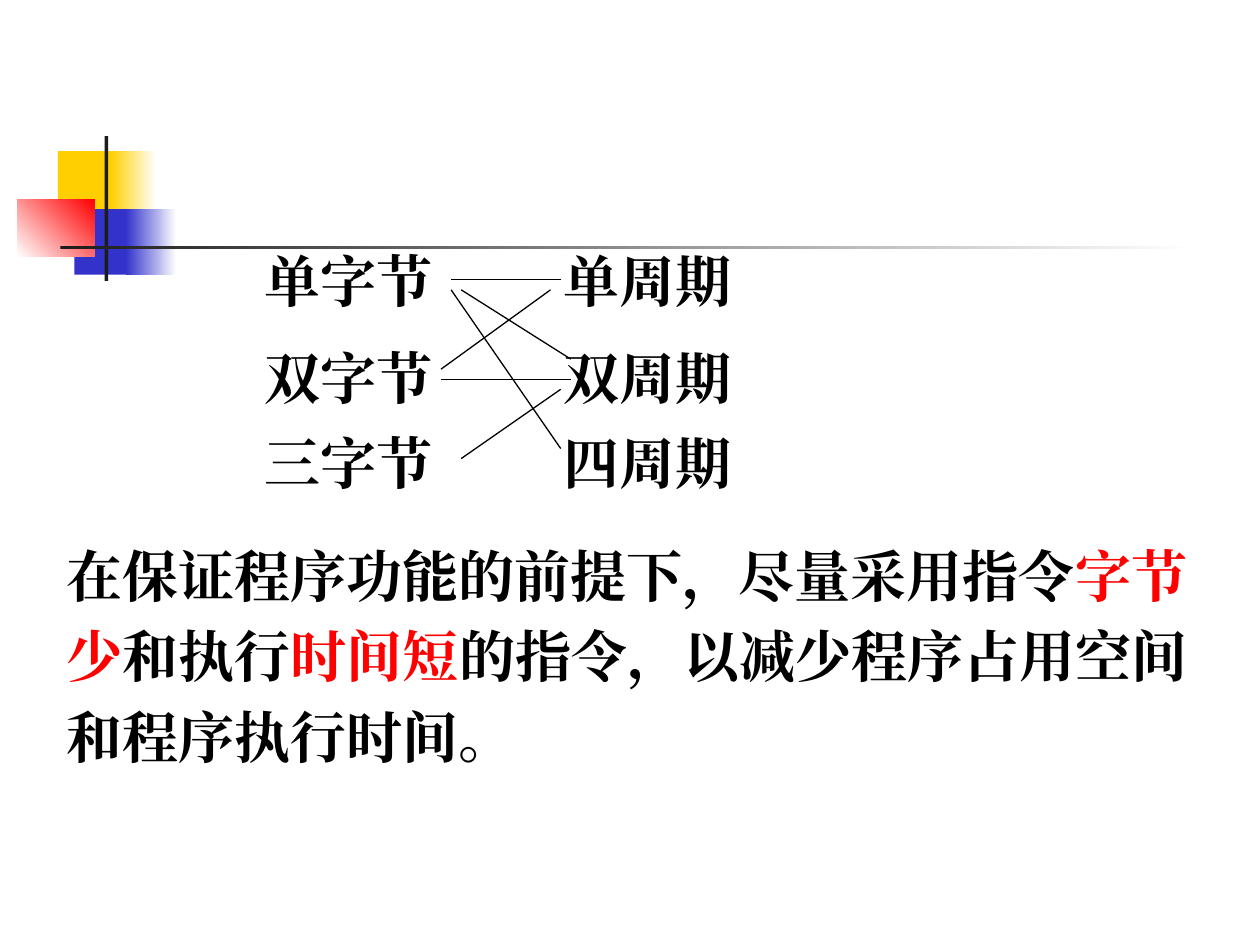
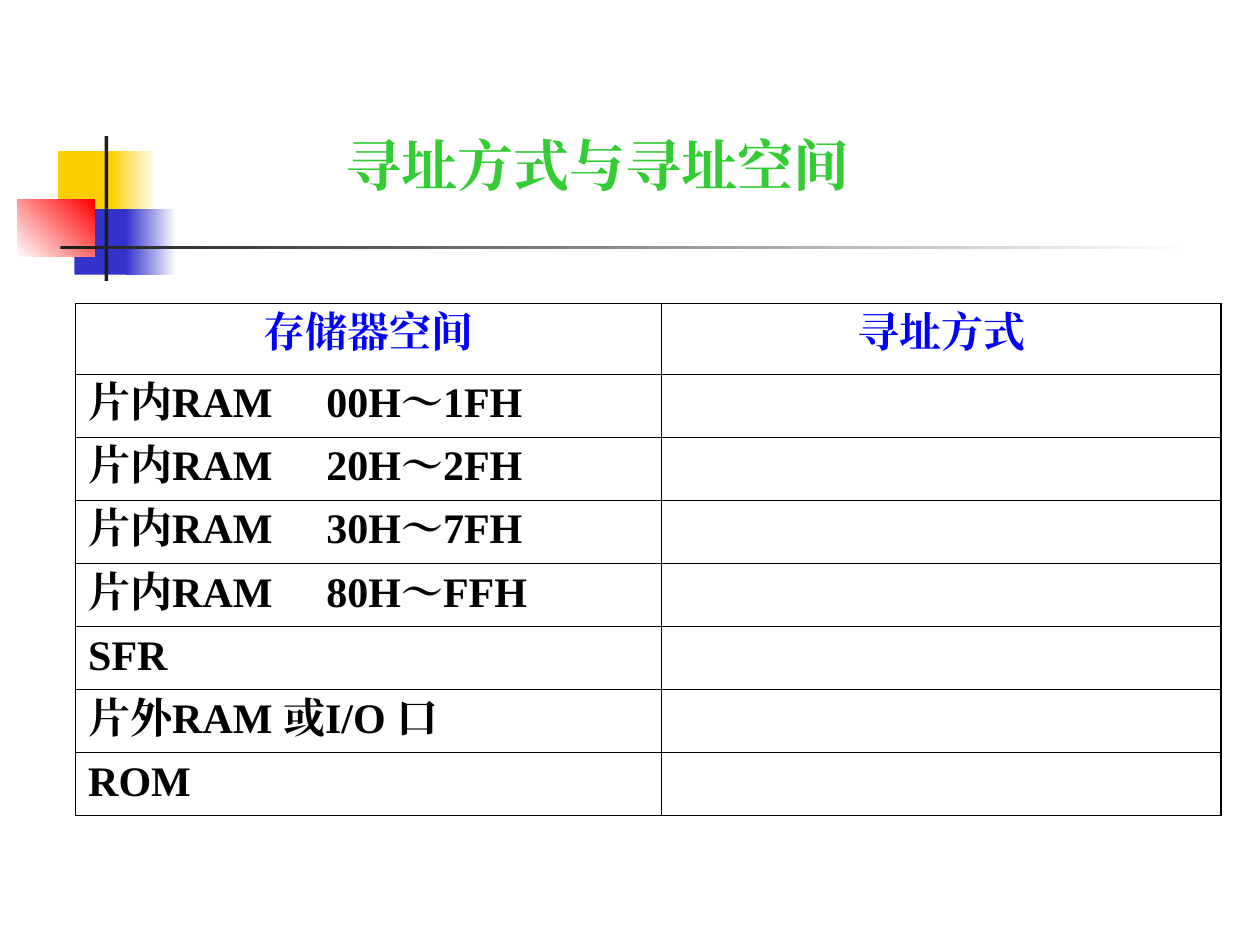
from typing import NamedTuple

from lxml.etree import SubElement
from pptx import Presentation
from pptx.dml.color import RGBColor
from pptx.enum.shapes import MSO_CONNECTOR, MSO_SHAPE
from pptx.enum.text import MSO_AUTO_SIZE, PP_ALIGN
from pptx.oxml.ns import qn
from pptx.util import Inches, Pt

FONT = "Times New Roman"
BLACK, WHITE, RED, GREEN, BLUE = "000000", "FFFFFF", "FF0000", "33CC33", "0000FF"
YELLOW, INDIGO, CHARCOAL = "FFCF01", "3333CC", "1C1C1C"
OUTER_BORDER, INNER_BORDER = 1.08, 0.45


class Block(NamedTuple):
    left: float
    top: float
    width: float
    height: float
    start: str
    end: str = ""  # empty for a solid fill
    angle: float = 0


class Span(NamedTuple):
    text: str
    color: str = BLACK


class Label(NamedTuple):
    left: float
    top: float
    width: float
    height: float
    spans: list[Span]
    line_spacing: float = 1.0


class Link(NamedTuple):
    x1: float
    y1: float
    x2: float
    y2: float


# Decoration shared by both slides
MOTIF = [
    Block(0.46, 1.2, 0.48, 0.52, YELLOW),
    Block(0.88, 1.2, 0.36, 0.52, YELLOW, WHITE),
    Block(0.59, 1.66, 0.46, 0.52, INDIGO),
    Block(1, 1.66, 0.4, 0.52, INDIGO, WHITE),
    Block(0.14, 1.58, 0.61, 0.46, WHITE, RED, 45),
    Block(0.83, 1.08, 0.03, 1.15, CHARCOAL),
    Block(0.48, 1.95, 9, 0.03, CHARCOAL, WHITE),
]

# Instruction lengths and cycle counts
ROW_TOPS = [1.91, 2.68, 3.35]
BYTE_COUNTS = ["单字节", "双字节", "三字节"]
CYCLE_COUNTS = ["单周期", "双周期", "四周期"]
LINKS = [
    Link(3.58, 2.22, 4.45, 2.22),
    Link(3.66, 2.3, 4.53, 2.85),
    Link(3.58, 2.3, 4.45, 3.56),
    Link(3.5, 2.93, 4.37, 2.3),
    Link(3.5, 3.01, 4.53, 3.01),
    Link(3.66, 3.64, 4.45, 3.09),
]
ADVICE = [
    Span("在保证程序功能的前提下，尽量采用指令"),
    Span("字节少", RED),
    Span("和执行"),
    Span("时间短", RED),
    Span("的指令，以减少程序占用空间和程序执行时间。"),
]

# Memory spaces and addressing modes
HEADINGS = ["存储器空间", "寻址方式"]
MEMORY_SPACES = [
    "片内RAM\t00H～1FH",
    "片内RAM\t20H～2FH",
    "片内RAM\t30H～7FH",
    "片内RAM\t80H～FFH",
    "SFR",
    "片外RAM 或I/O 口",
    "ROM",
]
COLUMN_WIDTHS = [4.65, 4.44]
HEADING_HEIGHT, SPACE_HEIGHT = 0.56, 0.5
ADDRESS_TAB = 1.89


def rgb(color: str) -> RGBColor:
    return RGBColor.from_string(color)


def style_run(run, size: float, color: str) -> None:
    run.font.name = FONT
    run.font.size = Pt(size)
    run.font.bold = True
    run.font.color.rgb = rgb(color)
    SubElement(run.font._element, qn("a:ea"), typeface=FONT)


def draw_block(page, block: Block) -> None:
    shape = page.shapes.add_shape(
        MSO_SHAPE.RECTANGLE, Inches(block.left), Inches(block.top),
        Inches(block.width), Inches(block.height))
    shape.shadow.inherit = False
    shape.line.fill.background()
    if not block.end:
        shape.fill.solid()
        shape.fill.fore_color.rgb = rgb(block.start)
        return
    shape.fill.gradient()
    shape.fill.gradient_angle = block.angle
    for stop, color, position in zip(
            shape.fill.gradient_stops, (block.start, block.end), (0, 1)):
        stop.color.rgb = rgb(color)
        stop.position = position


def draw_label(page, label: Label) -> None:
    box = page.shapes.add_textbox(
        Inches(label.left), Inches(label.top),
        Inches(label.width), Inches(label.height))
    frame = box.text_frame
    frame.word_wrap = True
    frame.auto_size = MSO_AUTO_SIZE.SHAPE_TO_FIT_TEXT
    para = frame.paragraphs[0]
    para.line_spacing = label.line_spacing
    for span in label.spans:
        run = para.add_run()
        run.text = span.text
        style_run(run, 32, span.color)


def draw_link(page, link: Link) -> None:
    line = page.shapes.add_connector(
        MSO_CONNECTOR.STRAIGHT, Inches(link.x1), Inches(link.y1),
        Inches(link.x2), Inches(link.y2))
    line.line.color.rgb = rgb(BLACK)
    line.line.width = Pt(0.75)
    SubElement(line._element.spPr, qn("a:effectLst"))


def set_borders(cell, widths: dict[str, float]) -> None:
    properties = cell._tc.get_or_add_tcPr()
    for side in ("L", "R", "T", "B"):
        border = SubElement(properties, qn(f"a:ln{side}"), w=str(Pt(widths[side])))
        fill = SubElement(border, qn("a:solidFill"))
        SubElement(fill, qn("a:srgbClr"), val=BLACK)


def fill_cell(cell, text: str, is_heading: bool) -> None:
    cell.text_frame.text = text
    para = cell.text_frame.paragraphs[0]
    if is_heading:
        para.alignment = PP_ALIGN.CENTER
    if "\t" in text:
        tabs = SubElement(para._p.get_or_add_pPr(), qn("a:tabLst"))
        SubElement(tabs, qn("a:tab"), pos=str(Inches(ADDRESS_TAB)), algn="l")
    for run in para.runs:
        style_run(run, 24, BLUE if is_heading else BLACK)


def draw_memory_table(page) -> None:
    rows = [HEADINGS] + [[space, ""] for space in MEMORY_SPACES]
    heights = [HEADING_HEIGHT] + [SPACE_HEIGHT] * len(MEMORY_SPACES)
    table = page.shapes.add_table(
        len(rows), len(HEADINGS), Inches(0.6), Inches(2.41),
        Inches(sum(COLUMN_WIDTHS)), Inches(sum(heights))).table
    table.first_row = table.horz_banding = False
    for column, width in zip(table.columns, COLUMN_WIDTHS):
        column.width = Inches(width)
    for row, height in zip(table.rows, heights):
        row.height = Inches(height)
    last_row, last_column = len(rows) - 1, len(HEADINGS) - 1
    for r, texts in enumerate(rows):
        for c, text in enumerate(texts):
            cell = table.cell(r, c)
            edges = {"L": c == 0, "R": c == last_column,
                     "T": r == 0, "B": r == last_row}
            set_borders(cell, {side: OUTER_BORDER if outer else INNER_BORDER
                               for side, outer in edges.items()})
            cell.fill.background()
            fill_cell(cell, text, r == 0)


def add_page(deck):
    page = deck.slides.add_slide(deck.slide_layouts[6])
    for block in MOTIF:
        draw_block(page, block)
    return page


def build_cycles_page(deck) -> None:
    page = add_page(deck)
    draw_label(page, Label(0.43, 4.14, 9.13, 2.02, ADVICE, 1.2))
    for left, names in ((2, BYTE_COUNTS), (4.37, CYCLE_COUNTS)):
        for top, name in zip(ROW_TOPS, names):
            draw_label(page, Label(left, top, 1.81, 0.64, [Span(name)]))
    for link in LINKS:
        draw_link(page, link)


def build_addressing_page(deck) -> None:
    page = add_page(deck)
    draw_label(page, Label(2.64, 0.99, 5, 0.64, [Span("寻址方式与寻址空间", GREEN)]))
    draw_memory_table(page)


def main() -> None:
    deck = Presentation()
    deck.slide_width, deck.slide_height = Inches(10), Inches(7.5)
    build_cycles_page(deck)
    build_addressing_page(deck)
    deck.save("out.pptx")


if __name__ == "__main__":
    main()
